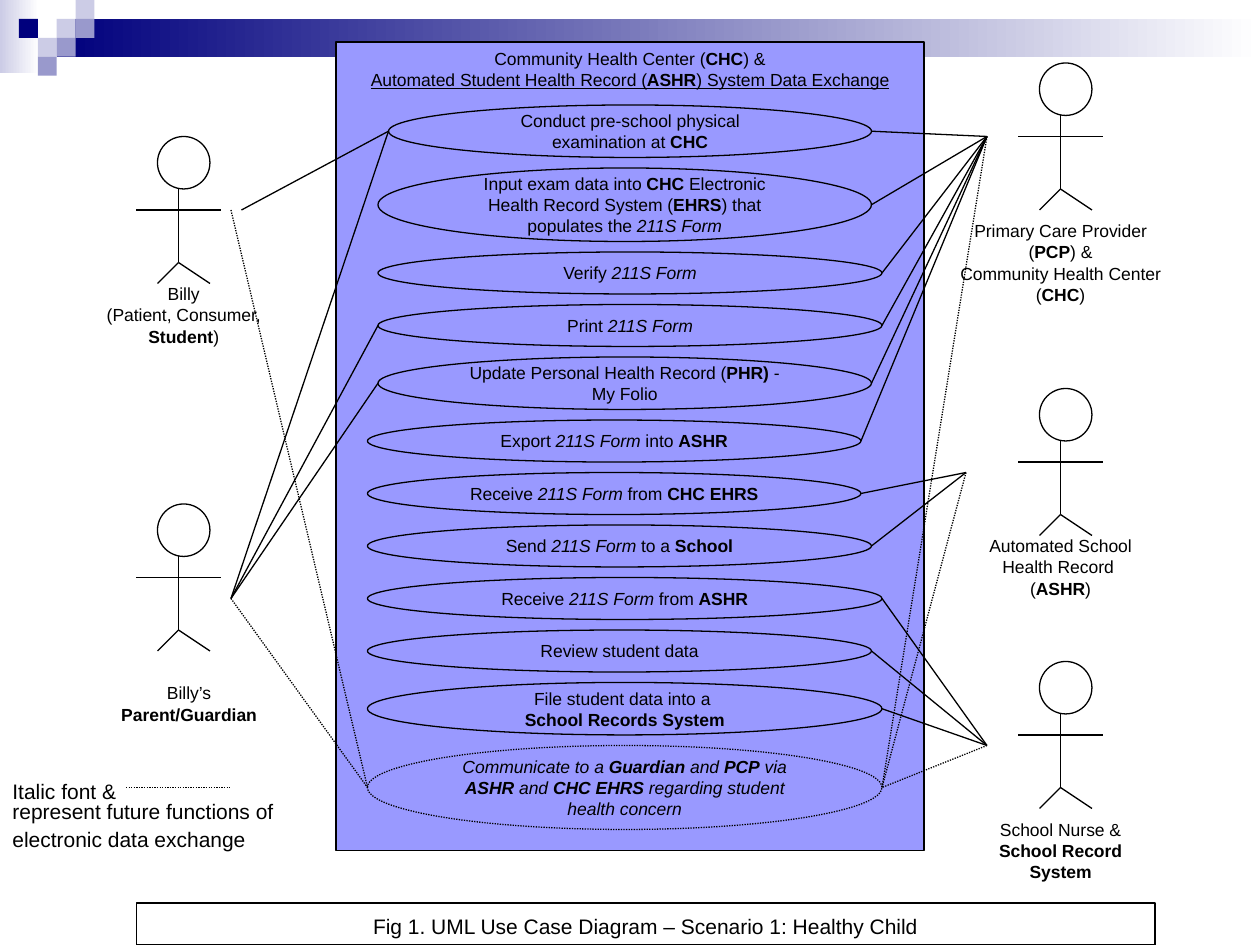
import dataclasses

import pptx
import pptx.dml.color
import pptx.enum.dml
import pptx.enum.shapes
import pptx.enum.text
import pptx.oxml.ns
import pptx.util
from lxml import etree

Inches = pptx.util.Inches
Pt = pptx.util.Pt
SHAPES = pptx.enum.shapes.MSO_SHAPE
ALIGN = pptx.enum.text.PP_ALIGN
ANCHOR = pptx.enum.text.MSO_ANCHOR


@dataclasses.dataclass(frozen=True)
class Theme:
    font: str = "Arial"
    ink: str = "000000"
    panel: str = "9999FF"
    navy: str = "00007D"
    lilac: str = "9999CC"
    mist: str = "CCCCE6"
    paper: str = "FFFFFF"
    text: int = 10
    caption: int = 12
    spacer: int = 18
    line: float = 0.75


THEME = Theme()
DIVISIONS = 12

SYSTEM_TITLE = [
    [("Community Health Center (", ""), ("CHC", "b"), (") &", "")],
    [("Automated Student Health Record (", "u"), ("ASHR", "bu"), (") System Data Exchange", "u")],
]
# left offset, width, height, paragraphs
USE_CASES = [
    (5, 46, 5, [[("Conduct pre-school physical examination at ", ""), ("CHC", "b")]]),
    (4, 47, 7, [[("Input exam data into", ""), (" CHC", "b"), (" Electronic Health Record System (", ""),
                 ("EHRS", "b"), (") that populates the ", ""), ("211S Form", "i")]]),
    (4, 48, 4, [[("Verify ", ""), ("211S Form", "i")]]),
    (4, 48, 4, [[("Print ", ""), ("211S Form", "i")]]),
    (4, 47, 5, [[("Update Personal Health Record (", ""), ("PHR)", "b"), (" - My Folio", "")]]),
    (3, 47, 4, [[("Export ", ""), ("211S Form ", "i"), ("into ", ""), ("ASHR", "b")]]),
    (3, 47, 4, [[("Receive ", ""), ("211S Form", "i"), (" from ", ""), ("CHC EHRS", "b")]]),
    (3, 48, 4, [[("Send ", ""), ("211S Form", "i"), (" to a ", ""), ("School", "b")]]),
    (3, 49, 4, [[("Receive ", ""), ("211S Form ", "i"), ("from ", ""), ("ASHR", "b")]]),
    (3, 48, 4, [[("Review student data", "")]]),
    (3, 49, 5, [[("File student data into a ", "")], [("School Records System", "b")]]),
    (3, 49, 8, [[("Communicate to a ", "i"), ("Guardian", "bi"), (" and ", "i"), ("PCP", "bi"),
                 (" via ", "i"), ("ASHR ", "bi"), ("and ", "i"), ("CHC EHRS ", "bi"),
                 ("regarding student health concern", "i")]]),
]
FUTURE = len(USE_CASES) - 1
# figure corner, label box, label paragraphs
ACTORS = [
    ((13, 13), (8, 26, 19, 8), [[("Billy", "")], [("(Patient, Consumer, ", ""), ("Student", "b"), (")", "")]]),
    ((13, 48), (10, 63, 16, 8), [[("Billy’s ", ""), ("Parent/Guardian", "b")]]),
    ((97, 6), (90, 21, 22, 8), [[("Primary Care Provider (", ""), ("PCP", "b"), (") &", "")],
                                [("Community Health Center (", ""), ("CHC", "b"), (")", "")]]),
    ((97, 37), (91, 50, 20, 8), [[("Automated School Health Record ", "")],
                                 [("(", ""), ("ASHR", "b"), (")", "")]]),
    ((97, 63), (93, 77, 16, 8), [[("School Nurse &", "")], [("School Record System", "b")]]),
]
# actor point, side of the use case, use case numbers
LINKS = [
    ((23, 20), "left", [0]),
    ((22, 20), "left", [FUTURE]),
    ((22, 57), "left", [0, 3, 4, FUTURE]),
    ((94, 13), "right", [0, 1, 2, 3, 4, 5, FUTURE]),
    ((92, 45), "right", [6, 7, FUTURE]),
    ((94, 71), "right", [8, 9, 10, FUTURE]),
]


def grid(*units):
    return [Inches(unit / DIVISIONS) for unit in units]


def colour(value):
    return pptx.dml.color.RGBColor.from_string(value)


def style_line(line, dotted=False):
    line.color.rgb = colour(THEME.ink)
    line.width = Pt(THEME.line)
    if dotted:
        line.dash_style = pptx.enum.dml.MSO_LINE.ROUND_DOT


def write_text(shape, paragraphs, size=THEME.text, align=ALIGN.CENTER, anchor=ANCHOR.MIDDLE):
    frame = shape.text_frame
    frame.word_wrap = True
    frame.auto_size = pptx.enum.text.MSO_AUTO_SIZE.NONE
    frame.vertical_anchor = anchor
    for index, runs in enumerate(paragraphs):
        paragraph = frame.add_paragraph() if index else frame.paragraphs[0]
        paragraph.alignment = align
        for text, style in runs:
            run = paragraph.add_run()
            run.text = text
            font = run.font
            font.name, font.size = THEME.font, Pt(size)
            font.bold, font.italic, font.underline = "b" in style, "i" in style, "u" in style
            font.color.rgb = colour(THEME.ink)


def add_shape(slide, kind, box, fill=None, outlined=True, dotted=False):
    shape = slide.shapes.add_shape(kind, *box)
    shape.shadow.inherit = False
    if fill:
        shape.fill.solid()
        shape.fill.fore_color.rgb = colour(fill)
    else:
        shape.fill.background()
    if outlined:
        style_line(shape.line, dotted)
    else:
        shape.line.fill.background()
    return shape


def add_line(slide, start, end, dotted=False):
    connector = slide.shapes.add_connector(
        pptx.enum.shapes.MSO_CONNECTOR.STRAIGHT, *grid(*start, *end))
    style_line(connector.line, dotted)
    properties = connector._element.spPr
    etree.SubElement(properties, pptx.oxml.ns.qn("a:effectLst"))


def add_label(slide, box, paragraphs, **options):
    label = slide.shapes.add_textbox(*grid(*box))
    write_text(label, paragraphs, **options)
    return label


def add_banner(slide, left, top, cell):
    bands = [((0, 0, 0.31, 0.58), THEME.mist, THEME.paper),
             ((0.45, 0.15, 9.55, 0.3), THEME.navy, THEME.paper)]
    for (x, y, width, height), start, end in bands:
        if x == 0:
            start, end = end, start
            start, end = THEME.mist, THEME.paper
        box = [Inches(value) for value in (left + x, top + y, width, height)]
        band = add_shape(slide, SHAPES.RECTANGLE, box, outlined=False)
        band.fill.gradient()
        band.fill.gradient_angle = 0
        for stop, value, position in zip(band.fill.gradient_stops, (start, end), (0, 1)):
            stop.color.rgb = colour(value)
            stop.position = position
    squares = {THEME.mist: [(3, 1), (4, 0), (2, 2)],
               THEME.lilac: [(4, 1), (3, 2), (2, 3)],
               THEME.navy: [(1, 1)]}
    for fill, cells in squares.items():
        for column, row in cells:
            box = [Inches(value) for value in (left + column * cell, top + row * cell, cell, cell)]
            add_shape(slide, SHAPES.RECTANGLE, box, fill, outlined=False)


def add_system(slide, left, top, width, height):
    panel = add_shape(slide, SHAPES.RECTANGLE, grid(left, top, width, height), THEME.panel)
    write_text(panel, SYSTEM_TITLE, anchor=ANCHOR.TOP)
    ends = []
    row_top = top + 6
    for index, (offset, row_width, row_height, paragraphs) in enumerate(USE_CASES):
        row_left = left + offset
        oval = add_shape(slide, SHAPES.OVAL, grid(row_left, row_top, row_width, row_height),
                         THEME.panel, dotted=index == FUTURE)
        write_text(oval, paragraphs)
        middle = row_top + row_height / 2
        ends.append({"left": (row_left, middle), "right": (row_left + row_width, middle)})
        row_top += row_height + 1
    return ends


def add_actor(slide, left, top):
    add_shape(slide, SHAPES.OVAL, grid(left + 2, top, 5, 5))
    for x1, y1, x2, y2 in [(4, 5, 4, 12), (0, 7, 8, 7), (4, 12, 7, 14), (4, 12, 2, 14)]:
        add_line(slide, (left + x1, top + y1), (left + x2, top + y2))


def add_links(slide, ends):
    for point, side, targets in LINKS:
        for target in targets:
            add_line(slide, point, ends[target][side], dotted=target == FUTURE)


def add_legend(slide, left, top, width, height):
    legend = add_label(slide, (left, top, width, height),
                       [[("Italic font &", "")],
                        [("represent future functions of electronic data exchange", ""), (" ", "")]],
                       size=THEME.caption, align=ALIGN.LEFT, anchor=ANCHOR.TOP)
    for paragraph in legend.text_frame.paragraphs:
        paragraph.line_spacing = 0.8
    paragraph.runs[-1].font.size = Pt(THEME.spacer)
    add_line(slide, (left + 12, top + 1), (left + 22, top + 1), dotted=True)


def add_caption(slide, left, top, width, height):
    caption = slide.shapes.title
    caption.left, caption.top, caption.width, caption.height = grid(left, top, width, height)
    style_line(caption.line)
    write_text(caption, [[("Fig 1. UML Use Case Diagram – Scenario 1: Healthy Child", "")]],
               size=THEME.caption, anchor=ANCHOR.BOTTOM)


def main():
    presentation = pptx.Presentation()
    presentation.slide_width, presentation.slide_height = Inches(10), Inches(7.5)
    slide = presentation.slides.add_slide(presentation.slide_layouts[5])
    add_banner(slide, 0, 0, 0.15)
    ends = add_system(slide, 32, 4, 56, 77)
    add_caption(slide, 13, 86, 97, 4)
    for corner, label_box, paragraphs in ACTORS:
        add_actor(slide, *corner)
        add_label(slide, label_box, paragraphs)
    add_links(slide, ends)
    add_legend(slide, 0, 74, 28, 8)
    presentation.save("out.pptx")


if __name__ == "__main__":
    main()
